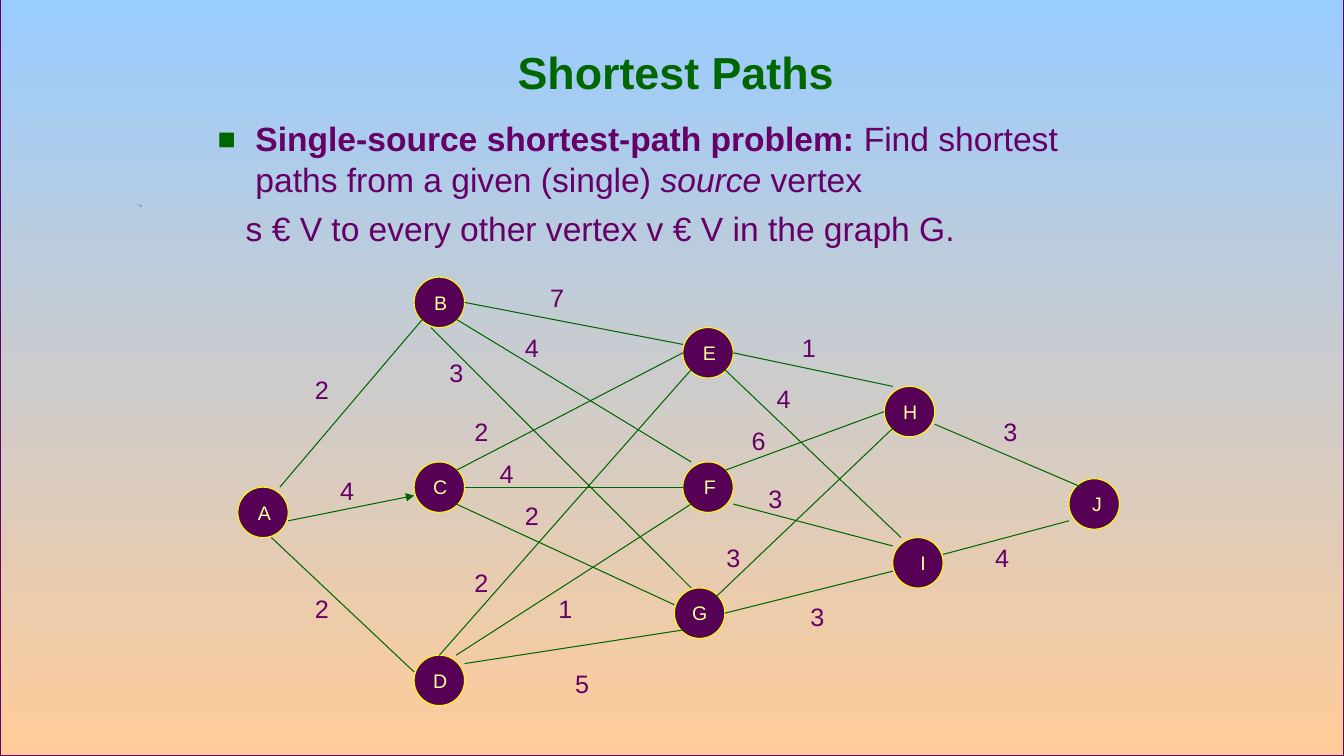
from collections import namedtuple
from dataclasses import dataclass

from lxml import etree
from pptx import Presentation
from pptx.dml.color import RGBColor
from pptx.enum.shapes import MSO_CONNECTOR, MSO_SHAPE
from pptx.enum.text import MSO_ANCHOR, PP_ALIGN
from pptx.oxml.ns import qn
from pptx.util import Pt

RECTANGLE, OVAL = MSO_SHAPE.RECTANGLE, MSO_SHAPE.OVAL
STRAIGHT = MSO_CONNECTOR.STRAIGHT
TOP, MIDDLE = MSO_ANCHOR.TOP, MSO_ANCHOR.MIDDLE
LEFT, CENTER, RIGHT = PP_ALIGN.LEFT, PP_ALIGN.CENTER, PP_ALIGN.RIGHT

Box = namedtuple("Box", "left top width height")
Edge = namedtuple("Edge", "start start_port end end_port weight label directed", defaults=[False])


@dataclass(frozen=True)
class Theme:
    font: str = "Arial"
    sky: str = "99CCFF"
    sand: str = "FFCC99"
    green: str = "006600"
    purple: str = "660066"
    node_fill: str = "560056"
    node_line: str = "FFFF00"
    node_text: str = "FFFF99"
    speck_dark: str = "284C70"
    speck_light: str = "BFCCD8"
    title_size: float = 32
    body_size: float = 24
    weight_size: float = 18
    node_size: float = 14
    line_width: float = 0.75


THEME = Theme()
GRID = 6
NODE_CELLS = 6
WEIGHT_BOX = (24, 30)

SPECKS = [
    (THEME.speck_dark, [(98, 146.2), (100, 146.2), (101.5, 146.9), (100.8, 147.6), (98.6, 146.9)]),
    (THEME.speck_light, [(98, 146.2), (100, 146.2), (100.8, 146.9), (100, 147.6), (98.6, 146.9)]),
    (THEME.speck_light, [(156.2, 144.7), (157.7, 143.3), (159.8, 143.3), (160.6, 144.7),
                         (159.8, 145.4), (157.7, 145.4)]),
]

NODES = {
    "A": (0, 25), "B": (21, 0), "C": (21, 22), "D": (21, 45), "E": (53, 6),
    "F": (53, 22), "G": (52, 37), "H": (77, 13), "I": (78, 31), "J": (99, 24),
}

EDGES = [
    Edge("A", (5, 0), "B", (1, 5), 2, (8, 11)),
    Edge("A", (6, 4), "C", (0, 4), 4, (11, 23), True),
    Edge("A", (4, 6), "D", (0, 2), 2, (8, 37)),
    Edge("B", (6, 3), "E", (0, 2), 7, (36, 0)),
    Edge("B", (5, 5), "F", (1, 0), 4, (33, 6)),
    Edge("B", (2, 6), "G", (2, 0), 3, (24, 9)),
    Edge("C", (5, 1), "E", (0, 3), 2, (27, 16)),
    Edge("C", (6, 3), "F", (0, 3), 4, (30, 21)),
    Edge("C", (5, 5), "G", (0, 2), 2, (33, 26)),
    Edge("D", (3, 0), "E", (1, 5), 2, (27, 34)),
    Edge("D", (5, 0), "F", (1, 5), 1, (37, 37)),
    Edge("D", (6, 1), "G", (1, 5), 5, (39, 46)),
    Edge("E", (6, 3), "H", (1, 0), 1, (66, 6)),
    Edge("E", (5, 5), "I", (1, 0), 4, (63, 12)),
    Edge("F", (5, 1), "H", (0, 3), 6, (60, 17)),
    Edge("F", (6, 5), "I", (0, 1), 3, (62, 24)),
    Edge("G", (5, 1), "H", (1, 5), 3, (57, 31)),
    Edge("G", (6, 3), "I", (0, 4), 3, (67, 38)),
    Edge("H", (6, 4.5), "J", (1.5, 1), 3, (90, 16)),
    Edge("I", (6, 2), "J", (0, 5), 4, (89, 31)),
]


def points(values):
    return [Pt(value) for value in values]


def color(value):
    return RGBColor.from_string(value)


def set_outline(line, value):
    line.color.rgb = color(value)
    line.width = Pt(THEME.line_width)


def add_run(paragraph, text, size, text_color, **formats):
    run = paragraph.add_run()
    run.text = text
    settings = {"name": THEME.font, "size": Pt(size), **formats}
    for name, value in settings.items():
        setattr(run.font, name, value)
    run.font.color.rgb = color(text_color)


def format_frame(frame, anchor=TOP, wrap=True):
    frame.word_wrap = wrap
    frame.vertical_anchor = anchor


def format_paragraph(paragraph, alignment=LEFT, before=0, margin=0, indent=0):
    paragraph.alignment = alignment
    paragraph.space_before = Pt(before)
    properties = paragraph._p.get_or_add_pPr()
    for name, value in {"marL": margin, "indent": indent}.items():
        properties.set(name, str(Pt(value)))
    return properties


def add_background(slide, box):
    panel = slide.shapes.add_shape(RECTANGLE, *points(box))
    panel.shadow.inherit = False
    panel.fill.gradient()
    panel.fill.gradient_angle = 270
    for stop, value in zip(panel.fill.gradient_stops, (THEME.sky, THEME.sand)):
        stop.color.rgb = color(value)
    set_outline(panel.line, THEME.purple)
    for value, outline in SPECKS:
        corners = [points((box.left + x, box.top + y)) for x, y in outline]
        builder = slide.shapes.build_freeform(*corners[0])
        builder.add_line_segments(corners[1:])
        speck = builder.convert_to_shape()
        speck.shadow.inherit = False
        speck.fill.solid()
        speck.fill.fore_color.rgb = color(value)
        speck.line.fill.background()


def add_title(slide, box):
    frame = slide.shapes.add_textbox(*points(box)).text_frame
    format_frame(frame, MIDDLE)
    paragraph = frame.paragraphs[0]
    format_paragraph(paragraph, CENTER)
    add_run(paragraph, "Shortest Paths", THEME.title_size, THEME.green, bold=True)


def add_problem(slide, box):
    frame = slide.shapes.add_textbox(*points(box)).text_frame
    format_frame(frame)
    definition = frame.paragraphs[0]
    properties = format_paragraph(definition, before=6, margin=27, indent=-27)
    bullet_color = etree.SubElement(properties, qn("a:buClr"))
    etree.SubElement(bullet_color, qn("a:srgbClr"), val=THEME.green)
    etree.SubElement(properties, qn("a:buSzPct"), val="90000")
    etree.SubElement(properties, qn("a:buFont"), typeface=THEME.font)
    etree.SubElement(properties, qn("a:buChar"), char="■")
    for text, formats in [
        ("Single-source shortest-path problem: ", {"bold": True}),
        ("Find shortest paths from a given (single) ", {}),
        ("source ", {"italic": True}),
        ("vertex", {}),
    ]:
        add_run(definition, text, THEME.body_size, THEME.purple, **formats)
    condition = frame.add_paragraph()
    format_paragraph(condition, before=6, margin=20)
    add_run(condition, "s € V to every other vertex v € V in the graph G.",
            THEME.body_size, THEME.purple)


def add_node(slide, box, name):
    node = slide.shapes.add_shape(OVAL, *points(box))
    node.shadow.inherit = False
    node.fill.solid()
    node.fill.fore_color.rgb = color(THEME.node_fill)
    set_outline(node.line, THEME.node_line)
    format_frame(node.text_frame, MIDDLE, wrap=False)
    paragraph = node.text_frame.paragraphs[0]
    format_paragraph(paragraph, RIGHT, before=3.5, margin=22.5, indent=-22.5)
    add_run(paragraph, name, THEME.node_size, THEME.node_text)


def add_edge(slide, start, end, directed):
    connector = slide.shapes.add_connector(STRAIGHT, *points(start + end))
    set_outline(connector.line, THEME.green)
    if directed:
        etree.SubElement(connector.line._get_or_add_ln(), qn("a:tailEnd"), type="triangle")
    etree.SubElement(connector._element.spPr, qn("a:effectLst"))


def add_weight(slide, box, weight):
    frame = slide.shapes.add_textbox(*points(box)).text_frame
    format_frame(frame)
    paragraph = frame.paragraphs[0]
    format_paragraph(paragraph, before=4.5, margin=27, indent=-27)
    add_run(paragraph, str(weight), THEME.weight_size, THEME.purple)


def add_graph(slide, box):
    def place(cell, port=(0, 0)):
        return (box.left + GRID * (cell[0] + port[0]), box.top + GRID * (cell[1] + port[1]))

    diameter = GRID * NODE_CELLS
    for name, cell in NODES.items():
        add_node(slide, Box(*place(cell), diameter, diameter), name)
    for edge in EDGES:
        start = place(NODES[edge.start], edge.start_port)
        end = place(NODES[edge.end], edge.end_port)
        add_edge(slide, start, end, edge.directed)
        add_weight(slide, Box(*place(edge.label), *WEIGHT_BOX), edge.weight)


def main():
    presentation = Presentation()
    presentation.slide_width, presentation.slide_height = points((960.48, 540))
    slide = presentation.slides.add_slide(presentation.slide_layouts[6])
    add_background(slide, Box(0, 0, 960, 540))
    add_title(slide, Box(177, 18, 612, 66))
    add_problem(slide, Box(148.5, 81, 665, 99))
    add_graph(slide, Box(170, 198, 630, 306))
    presentation.save("out.pptx")


if __name__ == "__main__":
    main()
